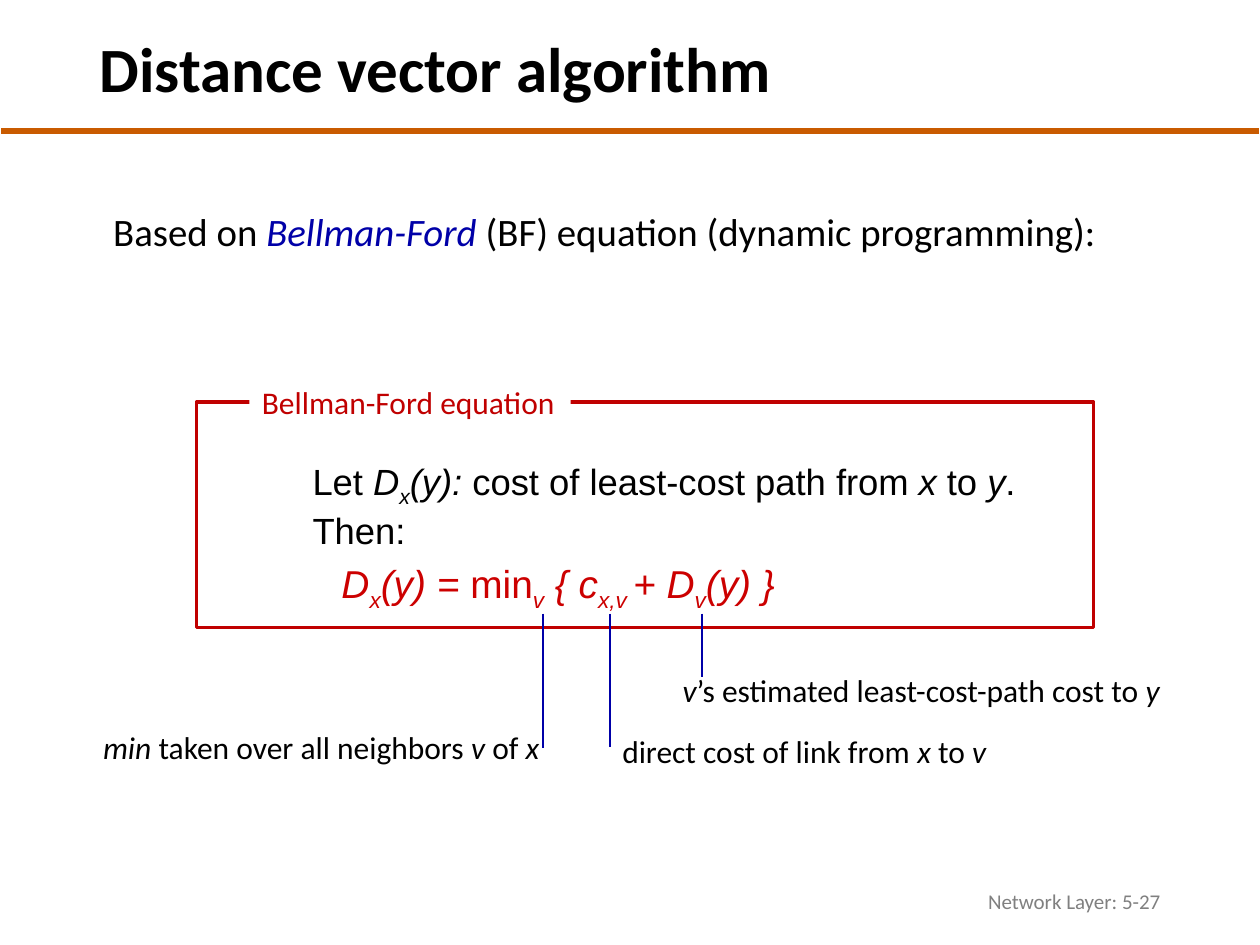
from pptx import Presentation
from pptx.dml.color import RGBColor
from pptx.enum.shapes import MSO_CONNECTOR, MSO_SHAPE
from pptx.enum.text import MSO_ANCHOR, PP_ALIGN
from pptx.oxml.ns import qn
from pptx.util import Pt
from lxml.etree import SubElement

SCALE = 9144  # EMU per px, 100 px to the inch
HUES = {"black": "000000", "white": "FFFFFF", "blue": "0000A8",
        "rule": "C95B00", "frame": "C00000", "math": "CC0000",
        "gray": "808080"}


def px(*nums):
    return [num * SCALE for num in nums]


def hue(name):
    return RGBColor.from_string(HUES[name])


def fill_para(para, parts, size, color="black", font="Calibri"):
    """Each part is (text, marks): i italic, s subscript, b blue."""
    for text, marks in parts:
        run = para.add_run()
        run.text = text
        face = run.font
        face.name, face.size = font, Pt(size)
        face.italic = "i" in marks
        face.color.rgb = hue("blue" if "b" in marks else color)
        if "s" in marks:
            run._r.get_or_add_rPr().set("baseline", "-25000")


def add_text(slide, box, parts, size, color="black", wrap=True):
    shape = slide.shapes.add_textbox(*px(*box))
    frame = shape.text_frame
    frame.word_wrap = wrap
    fill_para(frame.paragraphs[0], parts, size, color)
    return shape


def add_line(slide, ends, color, width):
    line = slide.shapes.add_connector(MSO_CONNECTOR.STRAIGHT, *px(*ends))
    line.line.color.rgb = hue(color)
    line.line.width = Pt(width)
    SubElement(line._element.spPr, qn("a:effectLst"))


def add_frame(slide, box):
    rect = slide.shapes.add_shape(MSO_SHAPE.RECTANGLE, *px(*box))
    rect.shadow.inherit = False
    rect.fill.background()
    rect.line.color.rgb = hue("frame")
    rect.line.width = Pt(2)


def set_title(slide, text):
    title = slide.shapes.title
    title.left, title.top, title.width, title.height = px(69, 15, 793, 85)
    frame = title.text_frame
    frame.text = text
    frame.vertical_anchor = MSO_ANCHOR.MIDDLE
    para = frame.paragraphs[0]
    para.alignment, para.line_spacing = PP_ALIGN.LEFT, 0.9
    face = para.runs[0].font
    face.name, face.size, face.bold = "Calibri", Pt(36), True
    face.color.rgb = hue("black")


def add_math(slide):
    frame = slide.shapes.add_textbox(*px(230, 364, 652, 162)).text_frame
    frame.word_wrap = True
    frame.margin_left, frame.margin_right = px(7, 7)
    frame.margin_top, frame.margin_bottom = px(4, 4)
    rows = [
        ([("Let ", ""), ("D", "i"), ("x", "is"), ("(y): ", "i"),
          ("cost of least-cost path from ", ""), ("x", "i"), (" to ", ""),
          ("y", "i"), (".", "")], 20.8, "black", -18),
        ([("Then:", "")], 20.8, "black", -18),
        ([("D", "i"), ("x", "is"), ("(y) = ", "i"), ("min", ""),
          ("v", "is"), (" { c", "i"), ("x,v ", "is"), ("+ D", "i"),
          ("v", "is"), ("(y) }", "i")], 22.2, "math", 5),
    ]
    for num, (parts, size, color, indent) in enumerate(rows):
        para = frame.add_paragraph() if num else frame.paragraphs[0]
        props = para._p.get_or_add_pPr()
        props.set("marL", str(29 * SCALE))
        props.set("indent", str(indent * SCALE))
        para.line_spacing = 0.8
        para.space_before = Pt(7.5 if num else 0)
        fill_para(para, parts, size, color, "Arial")


def main():
    deck = Presentation()
    deck.slide_width, deck.slide_height = px(1000, 750)
    slide = deck.slides.add_slide(deck.slide_layouts[5])

    # Heading and rule
    add_line(slide, (1, 104, 999, 104), "rule", 3)
    set_title(slide, "Distance vector algorithm")

    # Lead sentence
    lead = add_text(slide, (80, 164, 851, 63), [
        ("Based on ", ""), ("Bellman-Ford", "ib"),
        (" (BF) equation (dynamic programming):", "")], 22.2)
    lead.text_frame.paragraphs[0].line_spacing = 0.9

    # Framed equation, its label breaking the top edge
    add_math(slide)
    add_frame(slide, (156, 319, 712, 179))
    label = add_text(slide, (198, 299, 255, 40),
                     [("Bellman-Ford equation", "")], 18, "frame", False)
    label.fill.solid()
    label.fill.fore_color.rgb = hue("white")

    # Notes on the terms; leader lines start just below the subscripts
    start = 487
    notes = [
        ((72, 573, 370, 40), 431, 594,
         [("min", "i"), (" taken over all neighbors", ""), (" v ", "i"),
          ("of ", ""), ("x", "i")]),
        ((532, 528, 404, 40), 557, 537,
         [("v", "i"), ("’s estimated least-cost-path cost to ", ""),
          ("y", "i")]),
        ((484, 576, 312, 40), 484, 593,
         [("direct cost of link from", ""), (" x ", "i"), ("to ", ""),
          ("v", "i")]),
    ]
    for box, left, end, parts in notes:
        add_text(slide, box, parts, 18, wrap=False)
        add_line(slide, (left, start, left, end), "blue", 1)

    # Footer
    foot = add_text(slide, (706, 695, 225, 40),
                    [("Network Layer: 5-27", "")], 12, "gray")
    foot.text_frame.vertical_anchor = MSO_ANCHOR.MIDDLE
    foot.text_frame.paragraphs[0].alignment = PP_ALIGN.RIGHT

    deck.save("out.pptx")


if __name__ == "__main__":
    main()
